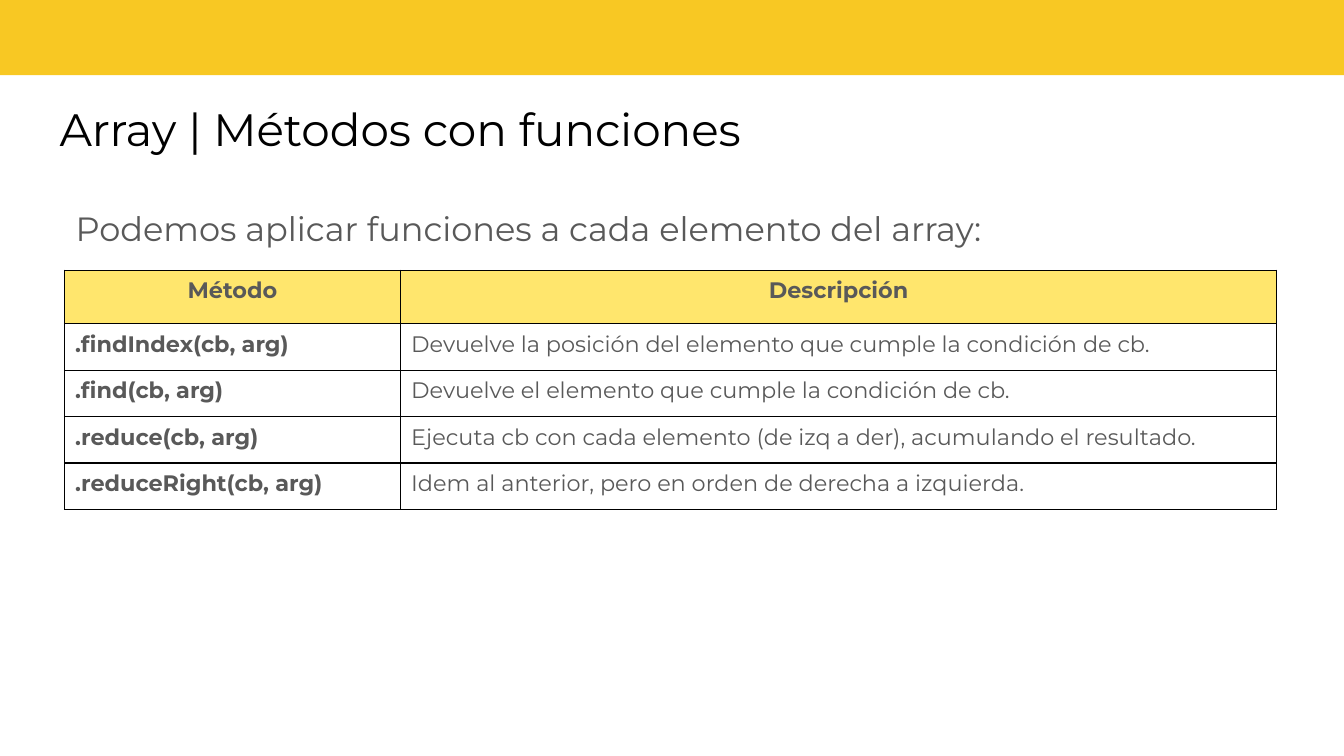
import dataclasses

import lxml.etree
import pptx
import pptx.dml.color
import pptx.enum.shapes
import pptx.enum.text
import pptx.oxml.ns
import pptx.util

Inches = pptx.util.Inches
Pt = pptx.util.Pt
Align = pptx.enum.text.PP_ALIGN


@dataclasses.dataclass(frozen=True)
class Theme:
    font: str = "Montserrat"
    band: str = "F8C823"
    header: str = "FFE66D"
    title: str = "000000"
    body: str = "595959"
    border: str = "000000"
    title_size: float = 24.3
    body_size: float = 18
    table_size: float = 12
    border_width: float = 0.75


THEME = Theme()
SLIDE_W = Inches(10)
SLIDE_H = SLIDE_W * 9 // 16
GRID_COLUMNS = 100
GRID_ROWS = GRID_COLUMNS * 9 / 16
HEADINGS = ("Método", "Descripción")
METHODS = (
    (".findIndex(cb, arg)",
     "Devuelve la posición del elemento que cumple la condición de cb."),
    (".find(cb, arg)",
     "Devuelve el elemento que cumple la condición de cb."),
    (".reduce(cb, arg)",
     "Ejecuta cb con cada elemento (de izq a der), acumulando el resultado."),
    (".reduceRight(cb, arg)",
     "Idem al anterior, pero en orden de derecha a izquierda."),
)
COLUMN_WEIGHTS = (2.5, 6.52)
ROW_WEIGHTS = (0.4,) + (0.345,) * len(METHODS)


def rgb(color):
    return pptx.dml.color.RGBColor.from_string(color)


def write(frame, text, size, color=THEME.body, bold=False, align=Align.LEFT,
          line_spacing=None, after=0):
    paragraph = frame.paragraphs[0]
    paragraph.alignment = align
    paragraph.space_after = Pt(after)
    if line_spacing:
        paragraph.line_spacing = line_spacing
    run = paragraph.add_run()
    run.text = text
    run.font.name = THEME.font
    run.font.size = Pt(size)
    run.font.bold = bold
    run.font.color.rgb = rgb(color)


def set_margins(holder, sides, ends):
    """Set the insets of a text frame or a table cell, in inches."""
    holder.margin_left = holder.margin_right = Inches(sides)
    holder.margin_top = holder.margin_bottom = Inches(ends)
    holder.vertical_anchor = pptx.enum.text.MSO_ANCHOR.TOP


def add_band(slide, box):
    band = slide.shapes.add_shape(
        pptx.enum.shapes.MSO_SHAPE.RECTANGLE, *box)
    band.shadow.inherit = False
    band.fill.solid()
    band.fill.fore_color.rgb = rgb(THEME.band)
    band.line.fill.background()


def add_text(slide, box, text, **text_format):
    frame = slide.shapes.add_textbox(*box).text_frame
    frame.word_wrap = True
    set_margins(frame, 0.1, 0.1)
    write(frame, text, **text_format)


def add_borders(cell):
    properties = cell._tc.get_or_add_tcPr()
    qn = pptx.oxml.ns.qn
    for position, side in enumerate(("lnL", "lnR", "lnT", "lnB")):
        line = lxml.etree.Element(
            qn(f"a:{side}"), w=str(Pt(THEME.border_width)))
        fill = lxml.etree.SubElement(line, qn("a:solidFill"))
        lxml.etree.SubElement(fill, qn("a:srgbClr"), val=THEME.border)
        properties.insert(position, line)


def add_methods_table(slide, box):
    width, height = box[2:]
    table = slide.shapes.add_table(
        len(ROW_WEIGHTS), len(COLUMN_WEIGHTS), *box).table
    table.first_row = table.horz_banding = False
    for column, weight in zip(table.columns, COLUMN_WEIGHTS):
        column.width = round(width * weight / sum(COLUMN_WEIGHTS))
    for row, weight in zip(table.rows, ROW_WEIGHTS):
        row.height = round(height * weight / sum(ROW_WEIGHTS))

    for r, texts in enumerate((HEADINGS, *METHODS)):
        is_header = r == 0
        for c, text in enumerate(texts):
            cell = table.cell(r, c)
            if is_header:
                cell.fill.solid()
                cell.fill.fore_color.rgb = rgb(THEME.header)
            else:
                cell.fill.background()
            set_margins(cell, 0.08, 0.05)
            write(cell.text_frame, text, THEME.table_size,
                  bold=is_header or c == 0,
                  align=Align.CENTER if is_header else Align.LEFT)
            add_borders(cell)


def add_methods_slide(deck, box):
    left, top, width, height = box

    def place(column, row, columns, rows):
        """Turn grid columns and rows into lengths within the slide box."""
        return (left + round(column * width / GRID_COLUMNS),
                top + round(row * height / GRID_ROWS),
                round(columns * width / GRID_COLUMNS),
                round(rows * height / GRID_ROWS))

    slide = deck.slides.add_slide(deck.slide_layouts[6])
    add_band(slide, place(0, 0, GRID_COLUMNS, 5.6))
    add_text(slide, place(3.45, 6.5, 93, 6.3),
             "Array | Métodos con funciones",
             size=THEME.title_size, color=THEME.title)
    add_text(slide, place(4.65, 14.05, 90.6, 36.3),
             "Podemos aplicar funciones a cada elemento del array:",
             size=THEME.body_size, line_spacing=1.15, after=12)
    add_methods_table(slide, place(4.8, 20.1, 90.2, 17.8))


def main():
    deck = pptx.Presentation()
    deck.slide_width = SLIDE_W
    deck.slide_height = SLIDE_H
    add_methods_slide(deck, (0, 0, SLIDE_W, SLIDE_H))
    deck.save("out.pptx")


if __name__ == "__main__":
    main()
